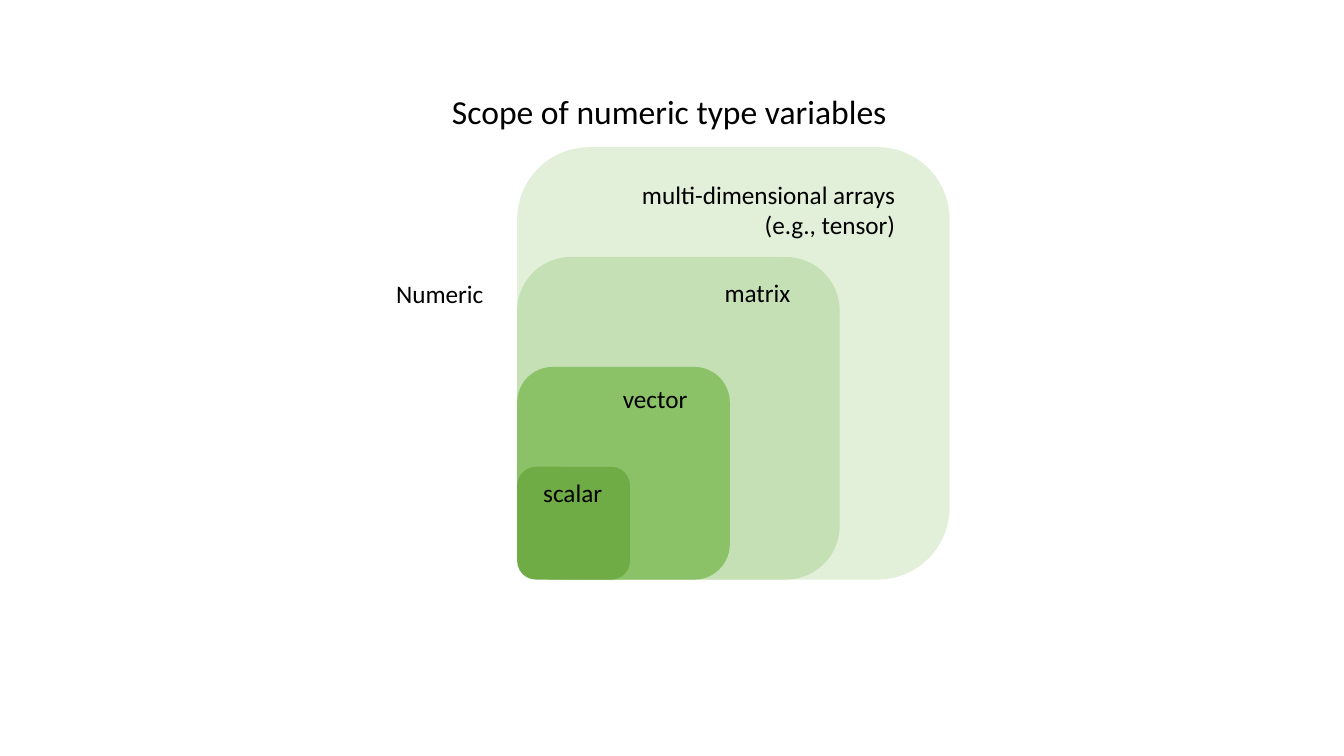
from pptx import Presentation
from pptx.dml.color import RGBColor
from pptx.enum.shapes import MSO_SHAPE
from pptx.enum.text import MSO_ANCHOR, MSO_AUTO_SIZE, PP_ALIGN
from pptx.util import Pt

ROUNDED = MSO_SHAPE.ROUNDED_RECTANGLE
TOP = MSO_ANCHOR.TOP
FIT_SHAPE = MSO_AUTO_SIZE.SHAPE_TO_FIT_TEXT
LEFT, CENTER, RIGHT = PP_ALIGN.LEFT, PP_ALIGN.CENTER, PP_ALIGN.RIGHT

BLACK = RGBColor(0x00, 0x00, 0x00)
PALE_GREEN = RGBColor(0xE2, 0xF0, 0xD9)
LIGHT_GREEN = RGBColor(0xC5, 0xE0, 0xB4)
MEDIUM_GREEN = RGBColor(0x8B, 0xC1, 0x67)
DARK_GREEN = RGBColor(0x6F, 0xAC, 0x46)

FONT = "Calibri"
TITLE_LAYOUT = 5
SCOPE_LEFT = 369.4
SCOPE_BOTTOM = 414

SCOPES = [
    (308.9, PALE_GREEN),
    (230.4, LIGHT_GREEN),
    (151.9, MEDIUM_GREEN),
    (80.6, DARK_GREEN),
]

LABELS = [
    (["scalar"], 380.9, 337.7, 56.9, 28.8, LEFT),
    (["vector"], 437.8, 270, 61.2, 28.8, LEFT),
    (["matrix"], 510.5, 194.4, 61.9, 28.8, LEFT),
    (["multi-dimensional arrays", "(e.g., tensor)"],
     449.3, 124.6, 197.3, 51.1, RIGHT),
    (["Numeric"], 275.8, 195.1, 77.8, 28.8, LEFT),
]


def write_text(box, lines, size=18, color=BLACK, align=LEFT):
    frame = box.text_frame
    frame.text = "\n".join(lines)
    frame.word_wrap = False
    frame.auto_size = FIT_SHAPE
    frame.vertical_anchor = TOP
    for para in frame.paragraphs:
        para.alignment = align
        para.line_spacing = 1.0
        para.space_before = Pt(0)
        para.font.name = FONT
        para.font.size = Pt(size)
        para.font.color.rgb = color


def set_title(page, text, left, top, width, height):
    title = page.shapes.title
    title.left, title.top = Pt(left), Pt(top)
    title.width, title.height = Pt(width), Pt(height)
    write_text(title, [text], size=24, align=CENTER)


def add_scope(page, side, color):
    box = page.shapes.add_shape(
        ROUNDED, Pt(SCOPE_LEFT), Pt(SCOPE_BOTTOM - side), Pt(side), Pt(side))
    box.shadow.inherit = False
    box.fill.solid()
    box.fill.fore_color.rgb = color
    box.line.fill.background()


def add_label(page, lines, left, top, width, height, align):
    box = page.shapes.add_textbox(Pt(left), Pt(top), Pt(width), Pt(height))
    write_text(box, lines, align=align)


def main():
    deck = Presentation()
    deck.slide_width, deck.slide_height = Pt(960), Pt(540)
    page = deck.slides.add_slide(deck.slide_layouts[TITLE_LAYOUT])
    set_title(page, "Scope of numeric type variables", 313.9, 61.2, 328.3, 36)
    for side, color in SCOPES:
        add_scope(page, side, color)
    for label in LABELS:
        add_label(page, *label)
    deck.save("out.pptx")


if __name__ == "__main__":
    main()
